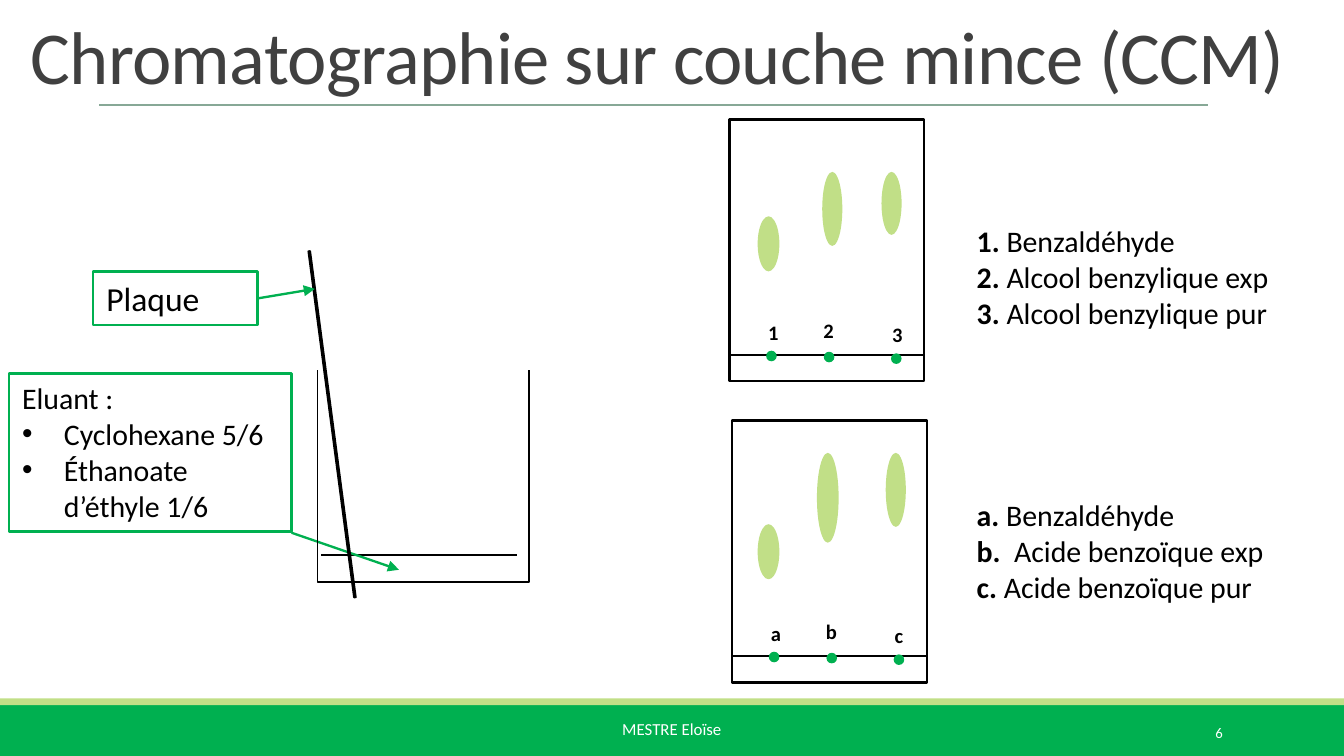
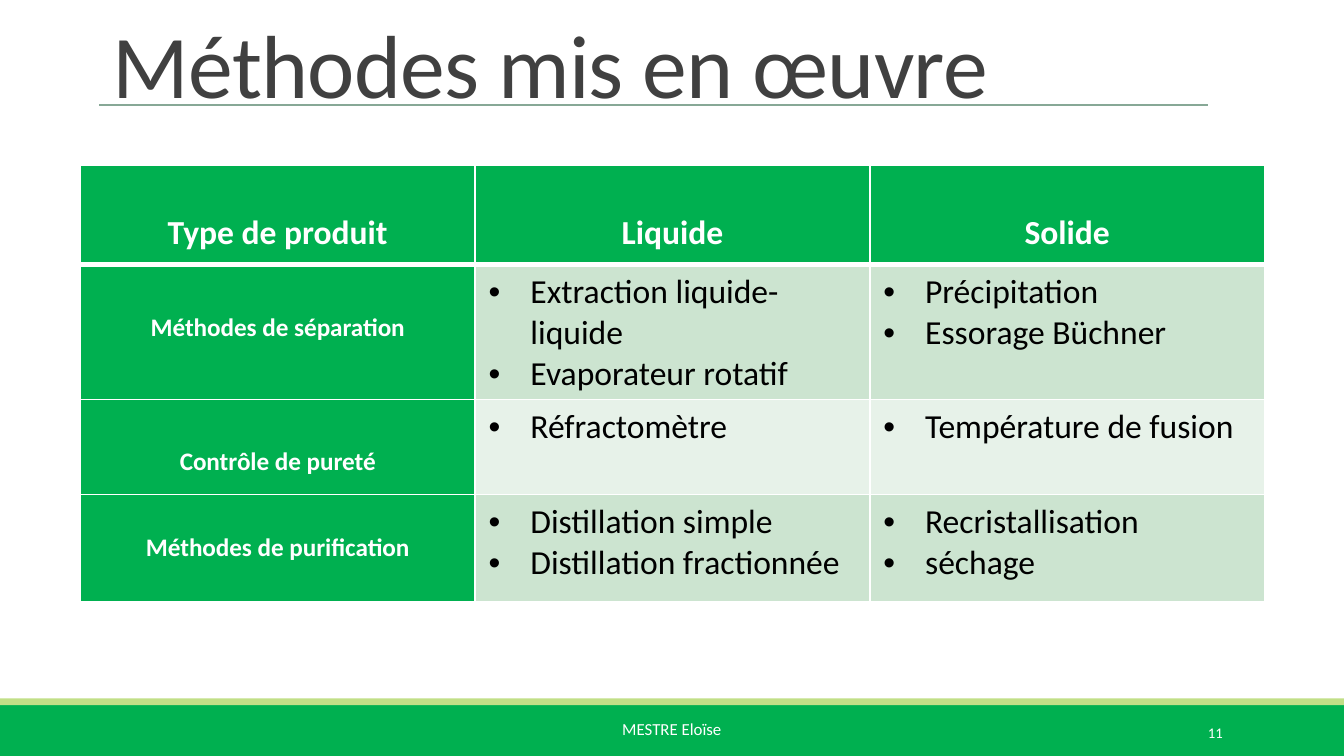
import math
from dataclasses import dataclass

from pptx import Presentation
from pptx import util as u
from pptx.dml.color import RGBColor
from pptx.enum import shapes, text
from pptx.oxml.ns import qn
from lxml import etree

Cm, Pt = u.Cm, u.Pt
MSO, ALIGN, ANCHOR = shapes.MSO_SHAPE, text.PP_ALIGN, text.MSO_ANCHOR


@dataclass(frozen=True)
class Theme:
    font: str = "Calibri"
    green: str = "00B050"
    lime: str = "C1DF87"
    rule: str = "87A896"
    grey: str = "404040"
    plate: str = "A6A6A6"
    black: str = "000000"
    white: str = "FFFFFF"
    band_dark: str = "CCE4D0"
    band_light: str = "E7F2E9"
    body: float = 18
    legend: float = 16
    row_label: float = 13.5
    spot_label: float = 11
    footer: float = 9
    number: float = 7.9
    thin: float = 1
    medium: float = 1.25


T = Theme()


def rgb(value):
    return RGBColor.from_string(value)


def style_run(r, size, color=T.black, bold=False):
    f = r.font
    f.name, f.size, f.bold = T.font, Pt(size), bold
    f.color.rgb = rgb(color)


def write(tf, lines, size, color=T.black, bold=False, align=ALIGN.LEFT):
    tf.text = "\n".join(lines)
    for p in tf.paragraphs:
        p.alignment = align
        for r in p.runs:
            style_run(r, size, color, bold)


def bullet(p):
    pPr = p._p.get_or_add_pPr()
    pPr.set("marL", str(Cm(0.79)))
    pPr.set("indent", str(-Cm(0.79)))
    etree.SubElement(pPr, qn("a:buFont")).set("typeface", "Arial")
    etree.SubElement(pPr, qn("a:buChar")).set("char", "•")


def paint(sp, fill=None, line=None, width=T.thin):
    sp.shadow.inherit = False
    if fill:
        sp.fill.solid()
        sp.fill.fore_color.rgb = rgb(fill)
    else:
        sp.fill.background()
    if line:
        sp.line.color.rgb = rgb(line)
        sp.line.width = Pt(width)
    else:
        sp.line.fill.background()


def add_shape(parent, kind, box, fill=None, line=None, width=T.thin):
    sp = parent.shapes.add_shape(kind, *map(Cm, box))
    paint(sp, fill, line, width)
    return sp


def add_text(parent, box, lines, size, color=T.black, bold=False,
             align=ALIGN.LEFT, wrap=True):
    tf = parent.shapes.add_textbox(*map(Cm, box)).text_frame
    tf.word_wrap = wrap
    write(tf, lines, size, color, bold, align)
    return tf


def add_line(parent, start, end, color=T.black, width=T.thin, arrow=False):
    cx = parent.shapes.add_connector(shapes.MSO_CONNECTOR.STRAIGHT,
                                     *map(Cm, (*start, *end)))
    cx.line.color.rgb = rgb(color)
    cx.line.width = Pt(width)
    if arrow:
        ln = cx.line._get_or_add_ln()
        etree.SubElement(ln, qn("a:tailEnd")).set("type", "triangle")
    etree.SubElement(cx._element.spPr, qn("a:effectLst"))


def add_callout(parent, box, lines, size, arrow):
    sp = add_shape(parent, MSO.RECTANGLE, box, T.white, T.green, T.medium)
    tf = sp.text_frame
    tf.word_wrap = True
    tf.vertical_anchor = ANCHOR.TOP
    write(tf, lines, size)
    for p in tf.paragraphs[1:]:
        bullet(p)
    add_line(parent, *arrow, T.green, T.medium, arrow=True)


def add_legend(s, top, entries):
    """Lists (bold mark, name) pairs beside a plate."""
    tf = add_text(s, (18.21, top, 6.32, 2.31), [""] * len(entries), T.legend)
    for p, entry in zip(tf.paragraphs, entries):
        for part, bold in zip(entry, (True, False)):
            r = p.add_run()
            r.text = part
            style_run(r, T.legend, bold=bold)


def add_plate(s, left, top, labels, stains):
    """Draws a developed plate; stains are boxes relative to its corner."""
    g = s.shapes.add_group_shape()
    add_shape(g, MSO.RECTANGLE, (left, top, 3.68, 4.95),
              T.white, T.black, T.medium)
    base = top + 4.45
    add_line(g, (left, base), (left + 3.68, base))
    deposits = ((0.69, 4.37), (1.78, 4.39), (3.05, 4.42))
    label_spots = ((0.48, 3.66), (1.52, 3.63), (2.82, 3.71))
    for label, (dx, dy), (lx, ly), (x, y, w, h) in zip(
            labels, deposits, label_spots, stains):
        add_shape(g, MSO.OVAL, (left + dx, top + dy, 0.2, 0.2), T.green)
        add_text(g, (left + lx, top + ly, 0.64, 0.74), [label],
                 T.spot_label, bold=True)
        add_shape(g, MSO.OVAL, (left + x, top + y, w, h), T.lime)


def add_beaker(parent, left, top, right, bottom, radius):
    """Open-topped outline with two rounded lower corners."""
    points = [(left, top)]
    for cx, first in ((left + radius, 180), (right - radius, 90)):
        for angle in range(first, first - 91, -6):
            a = math.radians(angle)
            points.append((cx + radius * math.cos(a),
                           bottom - radius + radius * math.sin(a)))
    points.append((right, top))
    fb = parent.shapes.build_freeform(*points[0], scale=Cm(1))
    fb.add_line_segments(points[1:], close=False)
    paint(fb.convert_to_shape(), line=T.black)


def add_setup(s):
    g = s.shapes.add_group_shape()
    add_line(g, (6.07, 10.49), (9.78, 10.49))
    add_callout(g, (0.17, 7.06, 5.34, 2.99),
                ["Eluant :", "Cyclohexane 5/6", "Éthanoate d’éthyle 1/6"],
                T.legend, ((5.51, 10.07), (7.54, 10.77)))
    add_beaker(g, 6.07, 6.78, 9.78, 11.4, 0.62)
    plate = add_shape(g, MSO.PARALLELOGRAM, (6.2, 4.72, 0.15, 6.6),
                      T.plate, T.black)
    plate.adjustments[0] = 0.78
    plate.rotation = 353.5
    plate._element.spPr.xfrm.set("flipH", "1")
    add_callout(g, (1.76, 5.13, 3.11, 1.02), ["Plaque"], T.body,
                ((4.87, 5.64), (5.95, 5.46)))


def new_slide(prs, title, box, size, number):
    s = prs.slides.add_slide(prs.slide_layouts[5])
    add_shape(s, MSO.RECTANGLE, (0, 13.33, 25.4, 0.96), T.green)
    add_shape(s, MSO.RECTANGLE, (0, 13.2, 25.4, 0.13), T.lime)
    add_line(s, (1.88, 1.98), (22.83, 1.98), T.rule)
    add_text(s, (11.51, 13.46, 2.39, 1.14), ["MESTRE Eloïse"],
             T.footer, T.white, wrap=False)
    tf = add_text(s, (20.62, 13.46, 2.74, 0.76), [str(number)],
                  T.number, T.white, align=ALIGN.RIGHT)
    tf.vertical_anchor = ANCHOR.MIDDLE

    sp = s.shapes.title
    sp.left, sp.top, sp.width, sp.height = map(Cm, box)
    tf = sp.text_frame
    tf.auto_size = text.MSO_AUTO_SIZE.NONE
    tf.vertical_anchor = ANCHOR.BOTTOM
    write(tf, [title], size, T.grey)
    p = tf.paragraphs[0]
    p.line_spacing = 0.85
    p.runs[0]._r.get_or_add_rPr().set("spc", "-40")
    return s


def format_cell(cell, fill, top=T.thin, bottom=T.thin):
    """Sets white borders, widths in points, then the fill."""
    tcPr = cell._tc.get_or_add_tcPr()
    for side, width in zip("LRTB", (T.thin, T.thin, top, bottom)):
        ln = etree.SubElement(tcPr, qn(f"a:ln{side}"), w=str(Pt(width)))
        solid = etree.SubElement(ln, qn("a:solidFill"))
        etree.SubElement(solid, qn("a:srgbClr"), val=T.white)
    cell.fill.solid()
    cell.fill.fore_color.rgb = rgb(fill)


def add_methods_table(s, header, rows, heights, label_margins):
    """Adds the table; label_margins push each row's heading down."""
    tbl = s.shapes.add_table(len(rows) + 1, len(header), Cm(1.52), Cm(3.12),
                             Cm(22.38), Cm(sum(heights))).table
    tbl.first_row = tbl.horz_banding = False
    for row, height in zip(tbl.rows, heights):
        row.height = Cm(height)
    for i, content in enumerate([header, *rows]):
        for j, value in enumerate(content):
            cell = tbl.cell(i, j)
            is_label = i == 0 or j == 0
            band = T.band_dark if i % 2 else T.band_light
            format_cell(cell, T.green if is_label else band,
                        top=3 if i == 1 else T.thin,
                        bottom=3 if i == 0 else T.thin)
            if is_label:
                cell.margin_top = Cm(label_margins[i])
                write(cell.text_frame, [value], T.row_label if i else T.body,
                      T.white, True, ALIGN.CENTER)
            else:
                write(cell.text_frame, value, T.body)
                for p in cell.text_frame.paragraphs:
                    bullet(p)


def main():
    prs = Presentation()
    prs.slide_width, prs.slide_height = Cm(25.4), Cm(14.29)

    s = new_slide(prs, "Chromatographie sur couche mince (CCM)",
                  (0.33, 0.08, 25.07, 1.93), 40, 6)
    add_setup(s)
    add_legend(s, 4.09, [("1.", " Benzaldéhyde"),
                         ("2. ", "Alcool benzylique exp"),
                         ("3. ", "Alcool benzylique pur")])
    add_legend(s, 9.27, [("a. ", "Benzaldéhyde"),
                         ("b. ", " Acide benzoïque exp"),
                         ("c. ", "Acide benzoïque pur")])
    add_plate(s, 13.79, 2.26, "123", [(0.53, 1.83, 0.41, 1.04),
                                      (1.75, 0.99, 0.38, 1.4),
                                      (2.87, 0.99, 0.38, 1.19)])
    add_plate(s, 13.84, 7.95, "abc", [(0.48, 1.96, 0.41, 1.04),
                                      (1.6, 0.61, 0.41, 1.7),
                                      (2.9, 0.61, 0.38, 1.4)])

    s = new_slide(prs, "Méthodes mis en œuvre",
                  (1.88, 0.41, 20.95, 1.93), 48, 11)
    add_methods_table(
        s,
        ["Type de produit", "Liquide", "Solide"],
        [["Méthodes de séparation",
          ["Extraction liquide-liquide", "Evaporateur rotatif"],
          ["Précipitation", "Essorage Büchner"]],
         ["Contrôle de pureté", ["Réfractomètre"], ["Température de fusion"]],
         ["Méthodes de purification",
          ["Distillation simple", "Distillation fractionnée"],
          ["Recristallisation", "séchage"]]],
        heights=(1.88, 2.55, 1.8, 2.03),
        label_margins=(0.9, 0.9, 0.9, 0.71))

    prs.save("out.pptx")


if __name__ == "__main__":
    main()
